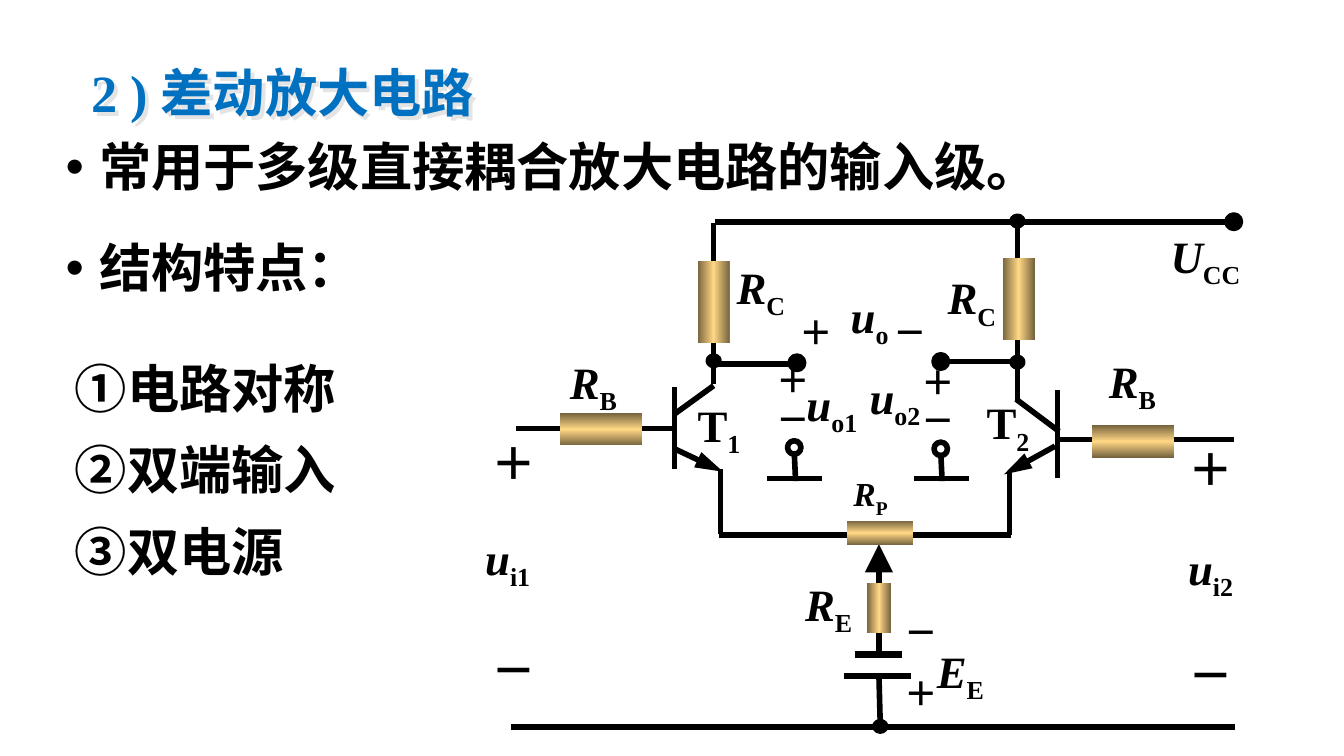
import pptx
import pptx.util
import pptx.dml.color
import pptx.enum.shapes
import pptx.enum.text
import pptx.oxml
import pptx.oxml.ns
import lxml.etree

Inches = pptx.util.Inches
Pt = pptx.util.Pt
qn = pptx.oxml.ns.qn
SHAPE = pptx.enum.shapes.MSO_SHAPE
NS = pptx.oxml.ns.nsdecls("a")
FONT = "Times New Roman"
BLACK = "000000"


def color(code):
    return pptx.dml.color.RGBColor.from_string(code)


def style(run, size, code=BLACK, italic=False):
    font = run.font
    font.name, font.size, font.bold, font.italic = FONT, Pt(size), True, italic
    font.color.rgb = color(code)


def text(slide, box, lines, size=24, code=BLACK, inset=None, space=None, gap=0):
    """Text box with one paragraph a line; gap is the space between them."""
    shape = slide.shapes.add_textbox(*map(Inches, box))
    frame = shape.text_frame
    frame.word_wrap = True
    if inset is not None:
        frame.margin_left = frame.margin_right = Inches(inset)
        frame.margin_top = frame.margin_bottom = Inches(inset)
    frame.text = "\n".join(lines)
    for i, para in enumerate(frame.paragraphs):
        if space:
            para.line_spacing = space
        if i and gap:
            para.space_before = Pt(gap)
        for run in para.runs:
            style(run, size, code)
    return shape


def bullet(para):
    props = para._p.get_or_add_pPr()
    props.set("marL", str(Inches(0.25)))
    props.set("indent", str(-Inches(0.25)))
    props.append(pptx.oxml.parse_xml(f'<a:buFont {NS} typeface="Arial"/>'))
    props.append(pptx.oxml.parse_xml(f'<a:buChar {NS} char="•"/>'))


def label(slide, box, name, sub, size=24):
    """Circuit symbol with a subscript."""
    para = text(slide, box, [name], size, inset=0).text_frame.paragraphs[0]
    para.alignment = pptx.enum.text.PP_ALIGN.JUSTIFY
    para.runs[0].font.italic = name != "T"
    run = para.add_run()
    run.text = sub
    style(run, size)
    run._r.get_or_add_rPr().set("baseline", "-25000")


def wire(slide, x1, y1, x2, y2, width=3, arrow=None, wide="med"):
    """Line; arrow is headEnd (at its start) or tailEnd (at its end)."""
    line = slide.shapes.add_connector(
        pptx.enum.shapes.MSO_CONNECTOR.STRAIGHT, *map(Inches, (x1, y1, x2, y2)))
    line.line.color.rgb = color(BLACK)
    line.line.width = Pt(width)
    if arrow:
        lxml.etree.SubElement(line.line._get_or_add_ln(), qn(f"a:{arrow}"),
                              type="triangle", w=wide, len="lg")
    lxml.etree.SubElement(line._element.spPr, qn("a:effectLst"))


def node(slide, x, y, w, h, solid=True):
    dot = slide.shapes.add_shape(SHAPE.OVAL, *map(Inches, (x, y, w, h)))
    dot.shadow.inherit = False
    if solid:
        dot.fill.solid()
        dot.fill.fore_color.rgb = color(BLACK)
    else:
        dot.fill.background()
    dot.line.color.rgb = color(BLACK)
    dot.line.width = Pt(3)


def resist(slide, x, y, w, h, turn=0):
    """Resistor body with a brass gradient."""
    body = slide.shapes.add_shape(SHAPE.RECTANGLE, *map(Inches, (x, y, w, h)))
    body.shadow.inherit = False
    body.rotation = turn
    body.line.fill.background()
    stops = "".join(f'<a:gs pos="{pos}"><a:srgbClr val="{code}"/></a:gs>' for pos, code in
                    ((0, "76633E"), (50000, "FFD785"), (100000, "76633E")))
    grad = pptx.oxml.parse_xml(f'<a:gradFill {NS} rotWithShape="1"><a:gsLst>{stops}</a:gsLst>'
                               '<a:lin ang="0" scaled="0"/></a:gradFill>')
    body._element.spPr.find(qn("a:prstGeom")).addnext(grad)


def words(slide):
    # Title with a soft shadow
    title = text(slide, (0.58, 0.4, 3.3, 0.57), ["2 ) 差动放大电路"], 28, "0070C0")
    title._element.spPr.append(pptx.oxml.parse_xml(
        f'<a:effectLst {NS}><a:outerShdw dist="35921" dir="2700000">'
        '<a:srgbClr val="E4E4E4"/></a:outerShdw></a:effectLst>'))
    # Bullets and features
    points = text(slide, (0.39, 1, 7.64, 1.57),
                  ["常用于多级直接耦合放大电路的输入级。", "结构特点："], 28, space=0.9, gap=24)
    for para in points.text_frame.paragraphs:
        bullet(para)
    text(slide, (0.46, 2.46, 2.44, 1.88), ["①电路对称 ②双端输入", "③双电源"], 28, space=1.3)


def wires(slide):
    # Supply rail, ground rail and emitter rail
    for x1, x2, y in ((5.32, 9.14, 1.65), (3.8, 9.19, 5.41), (5.35, 7.52, 3.98)):
        wire(slide, x1, y, x2, y)
    # Left transistor
    wire(slide, 3.84, 3.19, 5, 3.19)
    wire(slide, 5.02, 2.88, 5.02, 3.49)
    wire(slide, 5.02, 3.08, 5.31, 2.87)
    wire(slide, 5.02, 3.34, 5.38, 3.51, arrow="tailEnd")
    wire(slide, 5.36, 3.49, 5.36, 3.97)
    wire(slide, 5.31, 2.86, 5.31, 2.49)
    wire(slide, 5.31, 2.02, 5.31, 1.66)
    wire(slide, 5.31, 2.71, 5.98, 2.71)
    # Right transistor
    wire(slide, 7.88, 3.27, 9.18, 3.27)
    wire(slide, 7.87, 2.9, 7.87, 3.56)
    wire(slide, 7.88, 3.21, 7.56, 2.97)
    wire(slide, 7.85, 3.32, 7.47, 3.53, arrow="tailEnd")
    wire(slide, 7.51, 3.51, 7.51, 3.98)
    wire(slide, 7.57, 2.98, 7.57, 1.66)
    wire(slide, 7.59, 2.69, 7.03, 2.69)
    # Output grounds
    for x in (5.91, 7):
        wire(slide, x - 0.2, 3.56, x + 0.21, 3.56)
        wire(slide, x, 3.37, x + 0.01, 3.58)
    # Emitter branch and battery
    wire(slide, 6.54, 4.05, 6.54, 4.88, arrow="headEnd", wide="lg")
    wire(slide, 6.71, 4.87, 6.36, 4.87, 4)
    wire(slide, 6.78, 5.03, 6.28, 5.03)
    wire(slide, 6.54, 5.03, 6.55, 5.41)


def parts(slide):
    # Junctions
    for x, y in ((5.27, 2.65), (7.53, 1.61), (7.53, 2.66), (6.51, 5.37)):
        node(slide, x, y, 0.08, 0.07, solid=y < 5)
    # Terminals
    for x, y in ((9.13, 1.6), (5.88, 2.65), (6.95, 2.64), (5.86, 3.28), (6.95, 3.29)):
        node(slide, x, y, 0.1, 0.1, solid=y < 3)
    # Resistors
    for x, y, turn in ((5.19, 1.94, 0), (7.46, 1.92, 0), (4.35, 2.89, 90), (8.31, 2.98, 90)):
        resist(slide, x, y, 0.24, 0.61, turn)
    resist(slide, 6.45, 4.34, 0.18, 0.37)
    resist(slide, 6.46, 3.72, 0.18, 0.49, 90)


def labels(slide):
    for name, sub, box in (
            ("U", "CC", (8.71, 1.7, 0.71, 0.56)),
            ("R", "C", (5.48, 1.93, 0.51, 0.39)), ("R", "C", (7.05, 2.01, 0.58, 0.58)),
            ("R", "B", (4.24, 2.64, 0.46, 0.47)), ("R", "B", (8.25, 2.63, 0.39, 0.56)),
            ("T", "1", (5.19, 2.96, 0.55, 0.41)), ("T", "2", (7.34, 2.94, 0.39, 0.49)),
            ("u", "o", (6.33, 2.15, 0.4, 0.47)),
            ("u", "o1", (6, 2.8, 0.49, 0.5)), ("u", "o2", (6.47, 2.75, 0.66, 0.71)),
            ("u", "i1", (3.61, 3.95, 0.43, 0.56)), ("u", "i2", (8.84, 4.02, 0.4, 0.52)),
            ("R", "E", (5.99, 4.29, 0.62, 0.42)), ("E", "E", (6.97, 4.79, 0.45, 0.48))):
        label(slide, box, name, sub)
    label(slide, (6.35, 3.52, 0.5, 0.43), "R", "P", 18)
    # Polarity signs
    for box, signs, size, gap in (
            ((3.66, 3.27, 0.5, 2.03), "＋－", 24, 83), ((8.84, 3.31, 0.5, 2.03), "＋－", 24, 83),
            ((5.78, 2.7, 0.3, 0.67), "＋－", 18, 0), ((6.86, 2.71, 0.24, 0.68), "＋－", 18, 0),
            ((6.73, 4.57, 0.24, 0.75), "－＋", 18, 12)):
        text(slide, box, signs, size, inset=0, space=0.96, gap=gap)
    pair = text(slide, (5.95, 2.32, 1.29, 0.41), ["＋\t－"], 18, inset=0)
    pair.text_frame.paragraphs[0]._p.get_or_add_pPr().append(pptx.oxml.parse_xml(
        f'<a:tabLst {NS}><a:tab pos="{Inches(0.7)}" algn="l"/></a:tabLst>'))


def main():
    deck = pptx.Presentation()
    # Widescreen, 16 to 9
    deck.slide_width, deck.slide_height = Inches(10), Inches(10 * 9 / 16)
    slide = deck.slides.add_slide(deck.slide_layouts[6])
    words(slide)
    wires(slide)
    parts(slide)
    labels(slide)
    deck.save("out.pptx")


if __name__ == "__main__":
    main()
